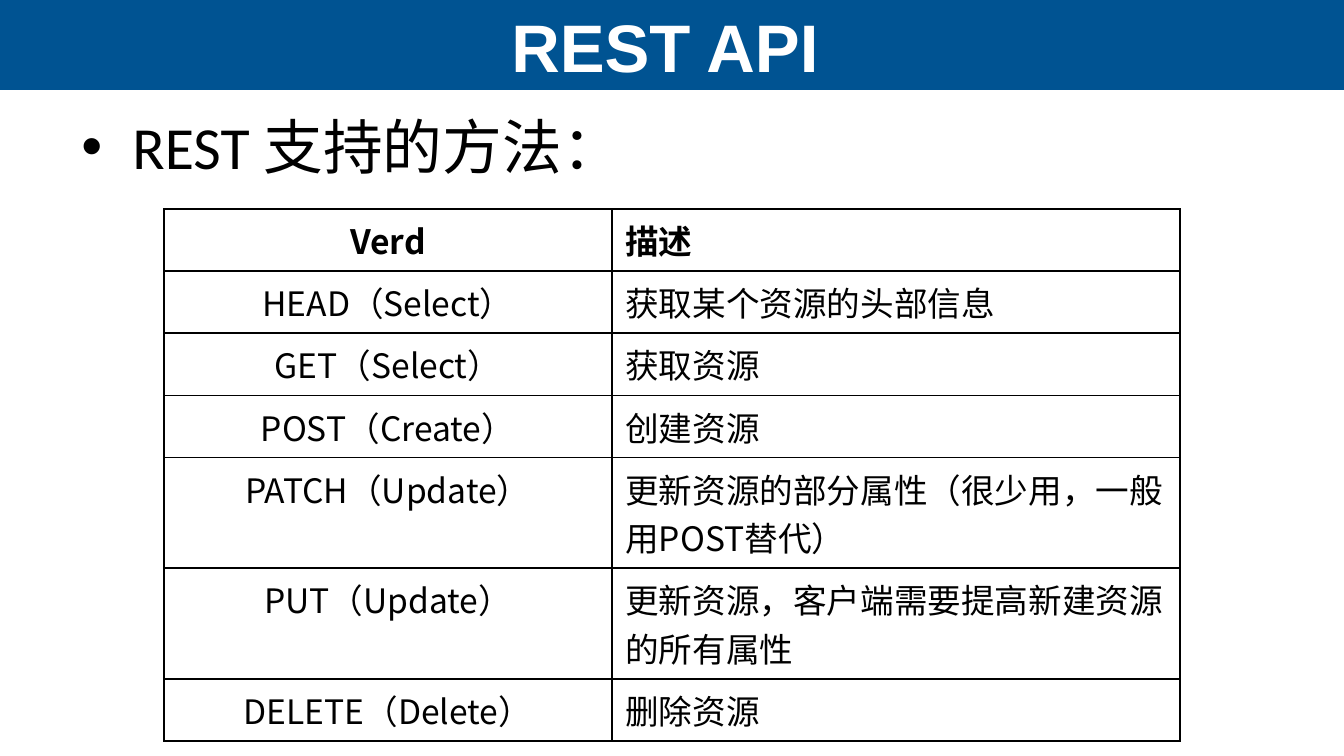
from pptx import Presentation
from pptx.dml.color import RGBColor
from pptx.enum.shapes import MSO_SHAPE
from pptx.enum.text import MSO_ANCHOR, MSO_AUTO_SIZE, PP_ALIGN
from pptx.oxml import parse_xml
from pptx.oxml.ns import nsdecls
from pptx.util import Pt

# Content
HEADING = "REST API"
LEAD = "REST 支持的方法："
METHODS = [
    ("Verd", "描述"),
    ("HEAD（Select）", "获取某个资源的头部信息"),
    ("GET（Select）", "获取资源"),
    ("POST（Create）", "创建资源"),
    ("PATCH（Update）", "更新资源的部分属性（很少用，一般用POST替代）"),
    ("PUT（Update）", "更新资源，客户端需要提高新建资源的所有属性"),
    ("DELETE（Delete）", "删除资源"),
]

# Theme and layout in pixels
CJK = "Noto Sans CJK SC"
THEME = {
    "band": "005392",
    "border": "000000",
    "heading": {"name": "Arial", "size": 36, "color": "FFFFFF", "bold": True},
    "lead": {"name": "Calibri", "size": 32, "color": "000000", "bold": False},
    "header": {"name": CJK, "size": 18, "color": "000000", "bold": True},
    "cell": {"name": CJK, "size": 18, "color": "000000", "bold": False},
}
SLIDE = (1344, 756)
BAND = (0, 0, 1344, 90)
HEADING_BOX = (2, 0, 1326, 91)
LEAD_BOX = (68, 103, 1210, 499)
LEAD_INDENT = 51
TABLE_ORIGIN = (164, 209)
COLUMNS = (448, 568)
ROW_HEIGHT = 55
ALIGNMENTS = (PP_ALIGN.CENTER, PP_ALIGN.LEFT)


def px(length):
    return round(length * 914400 / 134.4)


def place(part, box):
    for side, length in zip(("left", "top", "width", "height"), box):
        setattr(part, side, px(length))


def write(frame, text, style, align):
    paragraph = frame.paragraphs[0]
    paragraph.alignment = align
    run = paragraph.add_run()
    run.text = text
    values = {**THEME[style], "size": Pt(THEME[style]["size"])}
    run.font.color.rgb = RGBColor.from_string(values.pop("color"))
    for key, value in values.items():
        setattr(run.font, key, value)
    run.font._element.find("{*}latin").addnext(
        parse_xml(f'<a:ea {nsdecls("a")} typeface="{CJK}"/>'))
    return paragraph


def outline(cell):
    cell.fill.background()
    properties = cell._tc.get_or_add_tcPr()
    for position, side in enumerate("LRTB"):
        properties.insert(position, parse_xml(
            f'<a:ln{side} {nsdecls("a")} w="{Pt(1)}"><a:solidFill>'
            f'<a:srgbClr val="{THEME["border"]}"/></a:solidFill></a:ln{side}>'))


deck = Presentation()
deck.slide_width, deck.slide_height = map(px, SLIDE)
slide = deck.slides.add_slide(deck.slide_layouts[1])
heading, lead = slide.placeholders

# Blue band behind the heading
band = slide.shapes.add_shape(MSO_SHAPE.RECTANGLE, *map(px, BAND))
band.shadow.inherit = False
band.fill.solid()
band.fill.fore_color.rgb = RGBColor.from_string(THEME["band"])
band.line.fill.background()
heading._element.addprevious(band._element)

# Heading and lead bullet
for part, box, text, style, align, anchor in (
    (heading, HEADING_BOX, HEADING, "heading", PP_ALIGN.CENTER, MSO_ANCHOR.MIDDLE),
    (lead, LEAD_BOX, LEAD, "lead", PP_ALIGN.LEFT, MSO_ANCHOR.TOP),
):
    place(part, box)
    frame = part.text_frame
    frame.auto_size = MSO_AUTO_SIZE.NONE
    frame.vertical_anchor = anchor
    paragraph = write(frame, text, style, align)

bullet = paragraph._p.get_or_add_pPr()
bullet.set("marL", str(px(LEAD_INDENT)))
bullet.set("indent", str(-px(LEAD_INDENT)))
for xml in ('<a:spcBef {}><a:spcPct val="20000"/></a:spcBef>',
            '<a:buFont {} typeface="Arial"/>', '<a:buChar {} char="•"/>'):
    bullet.append(parse_xml(xml.format(nsdecls("a"))))

# Table of methods
size = (sum(COLUMNS), ROW_HEIGHT * len(METHODS))
methods = slide.shapes.add_table(
    len(METHODS), len(COLUMNS), *map(px, TABLE_ORIGIN + size)).table
methods.horz_banding = False
for column, width in zip(methods.columns, COLUMNS):
    column.width = px(width)
for index, (row, texts) in enumerate(zip(methods.rows, METHODS)):
    row.height = px(ROW_HEIGHT)
    for cell, text, align in zip(row.cells, texts, ALIGNMENTS):
        write(cell.text_frame, text, "cell" if index else "header", align)
        outline(cell)

deck.save("out.pptx")
